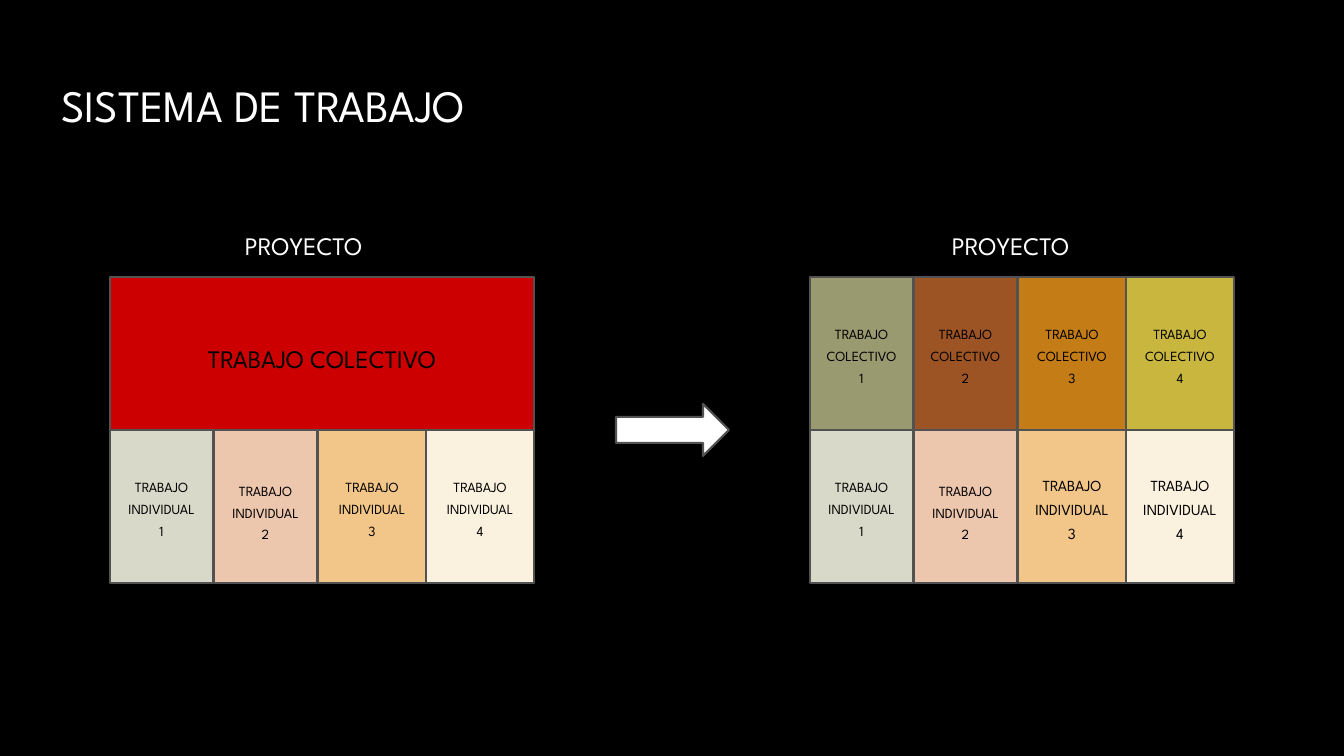
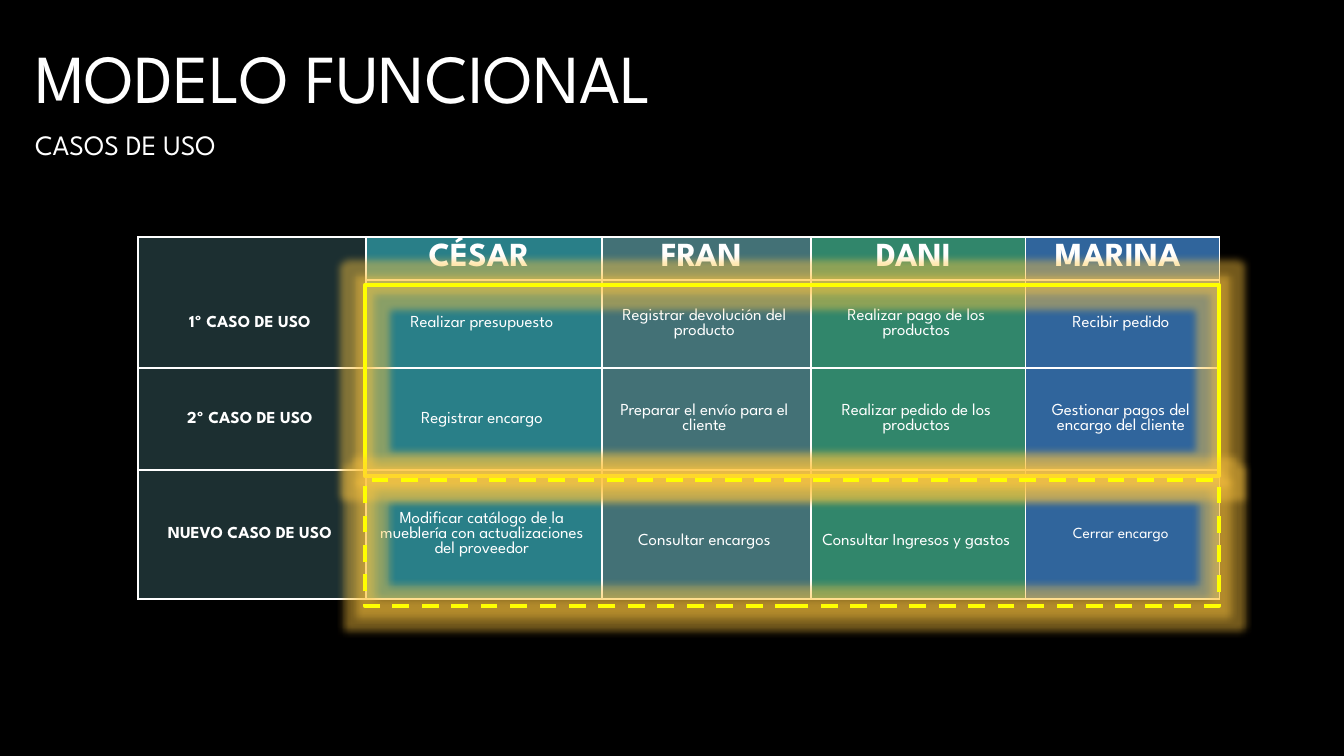
from lxml import etree
from pptx import Presentation
from pptx.dml.color import RGBColor
from pptx.enum.dml import MSO_LINE
from pptx.enum.shapes import MSO_SHAPE
from pptx.enum.text import MSO_ANCHOR, MSO_AUTO_SIZE, PP_ALIGN
from pptx.oxml.ns import qn
from pptx.util import Pt

RECT, ARROW = MSO_SHAPE.RECTANGLE, MSO_SHAPE.RIGHT_ARROW
LEFT, CENTER = PP_ALIGN.LEFT, PP_ALIGN.CENTER
MIDDLE = MSO_ANCHOR.MIDDLE
NO_FIT = MSO_AUTO_SIZE.NONE
DASH = MSO_LINE.DASH

FONT = "League Spartan"
SPACING = 1.3
BLACK = RGBColor(0x00, 0x00, 0x00)
WHITE = RGBColor(0xFF, 0xFF, 0xFF)
GREY = RGBColor(0x52, 0x52, 0x52)
RED = RGBColor(0xCC, 0x00, 0x00)
YELLOW = RGBColor(0xFF, 0xFF, 0x00)
GLOW = RGBColor(0xFF, 0xC6, 0x3F)
SOFT = [RGBColor(0xD9, 0xD9, 0xC9), RGBColor(0xEC, 0xC6, 0xAD),
        RGBColor(0xF2, 0xC6, 0x88), RGBColor(0xFA, 0xF2, 0xDF)]
STRONG = [RGBColor(0x9A, 0x9A, 0x71), RGBColor(0x9D, 0x54, 0x25),
          RGBColor(0xC4, 0x7C, 0x16), RGBColor(0xC9, 0xB6, 0x3F)]
COLUMN_FILLS = [RGBColor(0x1C, 0x2F, 0x31), RGBColor(0x29, 0x7F, 0x88),
                RGBColor(0x43, 0x71, 0x76), RGBColor(0x31, 0x86, 0x6B),
                RGBColor(0x30, 0x65, 0x9C)]

# Project panel: column offsets and widths, row height
TILES = [(0, 103), (104, 103), (208, 108), (316, 108)]
PANEL_W, ROW_H = 424, 153

# Use case table
COLS = [228, 236, 209, 215, 194]
ROWS = [43, 88, 102, 129]
USE_CASES = [
    ["", "CÉSAR", "FRAN", "DANI", "MARINA"],
    ["1º CASO DE USO", "Realizar presupuesto",
     "Registrar devolución del producto", "Realizar pago de los productos",
     "Recibir pedido"],
    ["2º CASO DE USO", "Registrar encargo",
     "Preparar el envío para el cliente", "Realizar pedido de los productos",
     "Gestionar pagos del encargo del cliente"],
    ["NUEVO CASO DE USO",
     "Modificar catálogo de la mueblería con actualizaciones del proveedor",
     "Consultar encargos", "Consultar Ingresos y gastos", "Cerrar encargo"],
]
LOWERED = {(3, 2), (3, 3)}
SMALLER = {(3, 4)}


def px(n):
    return round(n * 914400 / 100.8)


def box(*lengths):
    return [px(n) for n in lengths]


def add_run(p, text, size, color=WHITE, bold=False):
    r = p.add_run()
    r.text = text
    style = {"name": FONT, "size": Pt(size), "bold": bold}
    for key, value in style.items():
        setattr(r.font, key, value)
    r.font.color.rgb = color


def add_title(s, x, y, w, h, lines):
    """Fill the title with (text, size) lines."""
    title = s.shapes.title
    title.left, title.top, title.width, title.height = box(x, y, w, h)
    tf = title.text_frame
    tf.vertical_anchor, tf.auto_size = MIDDLE, NO_FIT
    p = tf.paragraphs[0]
    p.alignment, p.line_spacing = LEFT, SPACING
    for i, (text, size) in enumerate(lines):
        if i:
            p.add_line_break()
        add_run(p, text, size)


def add_block(s, kind, x, y, w, h, fill, line=GREY, weight=1.5):
    sp = s.shapes.add_shape(kind, *box(x, y, w, h))
    if fill is None:
        sp.fill.background()
    else:
        sp.fill.solid()
        sp.fill.fore_color.rgb = fill
    sp.line.color.rgb = line
    sp.line.width = Pt(weight)
    sp.shadow.inherit = False
    return sp


def add_tile(s, x, y, w, h, fill, lines, size, drop=0):
    tf = add_block(s, RECT, x, y, w, h, fill).text_frame
    tf.word_wrap, tf.vertical_anchor = True, MIDDLE
    tf.margin_top = px(5 + drop)
    for i, text in enumerate(lines):
        p = tf.add_paragraph() if i else tf.paragraphs[0]
        p.alignment, p.line_spacing = CENTER, SPACING
        add_run(p, text, size, BLACK)


def add_tile_row(s, x, y, label, fills, sizes, drops=(0, 0, 0, 0)):
    for i, (dx, w) in enumerate(TILES):
        add_tile(s, x + dx, y, w, ROW_H, fills[i], [label, str(i + 1)],
                 sizes[i], drops[i])


def project_panel(s, x, y, label_dx, split, sizes):
    """Heading, collective work (whole or split) and individual work."""
    tb = s.shapes.add_textbox(*box(x + label_dx, y - 61, 173, 40))
    p = tb.text_frame.paragraphs[0]
    p.line_spacing = SPACING
    add_run(p, "PROYECTO", 18)
    if split:
        add_tile_row(s, x, y, "TRABAJO COLECTIVO", STRONG, [10] * 4)
    else:
        add_tile(s, x, y, PANEL_W, ROW_H, RED, ["TRABAJO COLECTIVO"], 18)
    add_tile_row(s, x, y + ROW_H, "TRABAJO INDIVIDUAL", SOFT, sizes,
                 (0, 7, 0, 0))


def set_borders(cell, hidden):
    tcPr = cell._tc.get_or_add_tcPr()
    for side in ("lnL", "lnR", "lnT", "lnB"):
        ln = etree.SubElement(tcPr, qn("a:" + side), w=str(Pt(1)))
        if side == hidden:
            etree.SubElement(ln, qn("a:noFill"))
        else:
            fill = etree.SubElement(ln, qn("a:solidFill"))
            etree.SubElement(fill, qn("a:srgbClr"), val=str(WHITE))


def use_case_table(s, x, y):
    frame = s.shapes.add_table(len(ROWS), len(COLS),
                               *box(x, y, sum(COLS), sum(ROWS)))
    table = frame.table
    table.first_row = table.horz_banding = False
    for column, w in zip(table.columns, COLS):
        column.width = px(w)
    for row, h in zip(table.rows, ROWS):
        row.height = px(h)
    # The corner cell and the one below it look like one
    hidden = {(0, 0): "lnB", (1, 0): "lnT"}
    for i, texts in enumerate(USE_CASES):
        for j, text in enumerate(texts):
            cell = table.cell(i, j)
            set_borders(cell, hidden.get((i, j)))
            cell.fill.solid()
            cell.fill.fore_color.rgb = COLUMN_FILLS[j]
            cell.vertical_anchor = MIDDLE
            margins = {"margin_left": 9, "margin_right": 13 if i else 19,
                       "margin_top": 20 if (i, j) in LOWERED else 5,
                       "margin_bottom": 5}
            for key, value in margins.items():
                setattr(cell, key, px(value))
            p = cell.text_frame.paragraphs[0]
            p.alignment = CENTER
            if text:
                size = 24 if i == 0 else 11 if (i, j) in SMALLER else 12
                add_run(p, text, size, bold=i == 0 or j == 0)


def glow_frame(s, x, y, w, h, dash=None):
    sp = add_block(s, RECT, x, y, w, h, None, YELLOW, 3)
    if dash is not None:
        sp.line.dash_style = dash
    effects = sp._element.spPr.find(qn("a:effectLst"))
    glow = etree.SubElement(effects, qn("a:glow"), rad=str(px(15)))
    color = etree.SubElement(glow, qn("a:srgbClr"), val=str(GLOW))
    etree.SubElement(color, qn("a:alpha"), val="45000")


def work_system_slide(s):
    add_title(s, 51, 24, 1159, 146, [("SISTEMA DE TRABAJO", 32)])
    project_panel(s, 110, 277, 125, False, [10] * 4)
    add_block(s, ARROW, 616, 404, 113, 52, WHITE)
    project_panel(s, 810, 277, 132, True, [10, 10, 11, 11])


def functional_model_slide(s):
    add_title(s, 25, -19, 1092, 210,
              [("MODELO FUNCIONAL", 49), ("CASOS DE USO", 20)])
    use_case_table(s, 138, 237)
    # Current and new use cases
    glow_frame(s, 365, 285, 854, 191)
    glow_frame(s, 365, 480, 854, 126, DASH)


def main():
    prs = Presentation()
    prs.slide_width, prs.slide_height = box(1344, 756)
    background = prs.slide_master.background.fill
    background.solid()
    background.fore_color.rgb = BLACK
    for build in (work_system_slide, functional_model_slide):
        build(prs.slides.add_slide(prs.slide_layouts[5]))
    prs.save("out.pptx")


if __name__ == "__main__":
    main()
